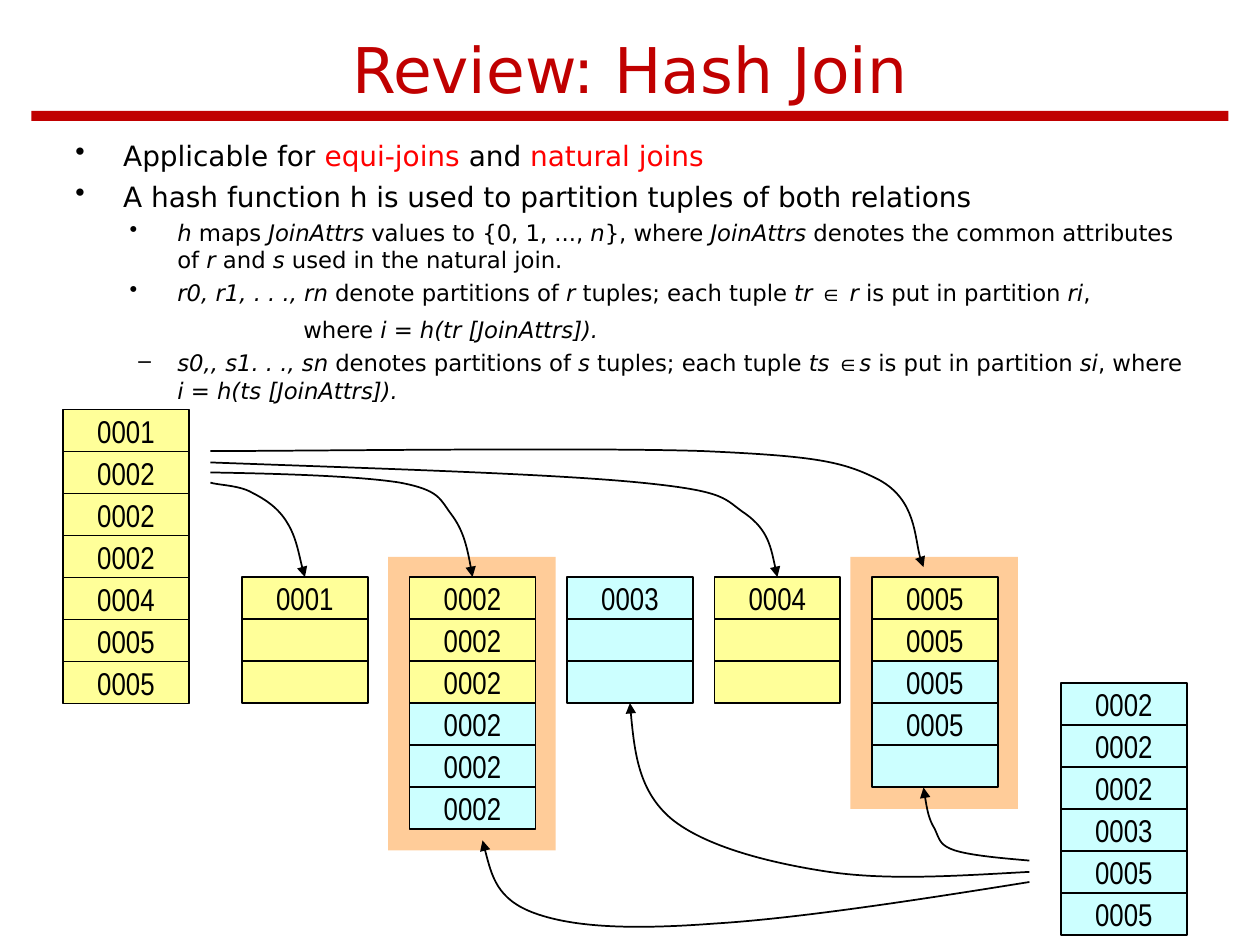
from lxml import etree
from pptx import Presentation
from pptx import util as u
from pptx.dml.color import RGBColor
from pptx.enum import shapes, text
from pptx.oxml.ns import qn

COLORS = {"title": "C00000", "key": "FF0000", "ink": "000000",
          "r": "FFFF99", "s": "CCFFFF", "match": "FFCC99"}
BODY_FONT, CELL_FONT = "DejaVu Sans", "Arial Narrow"
CELL_W, CELL_H = 1, 1 / 3

TITLE = "Review: Hash Join"

# Each paragraph: bullet, left margin, hanging indent, space before, size, runs.
# Run styles: "" plain, "i" italic, "k" key term, "a" symbol font
BULLETS = [
    ("•", 0.38, -0.38, 0, 16, [("Applicable for ", ""), ("equi-joins", "k"),
                               (" and ", ""), ("natural joins", "k")]),
    ("•", 0.38, -0.38, 4, 16,
     [("A hash function h is used to partition tuples of both relations", "")]),
    ("•", 0.81, -0.38, 3.3, 13,
     [("h", "i"), (" maps ", ""), ("JoinAttrs", "i"), (" values to {0, 1, ..., ", ""),
      ("n", "i"), ("}, where ", ""), ("JoinAttrs ", "i"),
      ("denotes the common attributes of ", ""), ("r", "i"), (" and ", ""),
      ("s ", "i"), ("used in the natural join.", "")]),
    ("•", 0.81, -0.38, 3.3, 13,
     [("r0, r1, . . ., rn", "i"), (" denote partitions of ", ""), ("r ", "i"),
      ("tuples; each tuple ", ""), ("tr ", "i"), ("∈", "ai"), (" r ", "i"),
      ("is put in partition ", ""), ("ri", "i"), (",", "")]),
    (None, 1.81, 0, 5.6, 13, [("where ", ""), ("i = h(tr [JoinAttrs]).", "i")]),
    ("–", 0.81, -0.31, 3.3, 13,
     [("s0,, s1. . ., sn", "i"), (" denotes partitions of ", ""), ("s", "i"),
      (" tuples; each tuple ", ""), ("ts ", "i"), ("∈", "a"), ("s", "i"),
      (" is put in partition ", ""), ("si", "i"), (", where ", ""),
      ("i = h(ts [JoinAttrs]).", "i")]),
]

# Highlighted partitions: left, top, width, height
MATCHES = [(6.75, 4.42, 1.33, 2), (3.08, 4.42, 1.33, 2.33)]

# Stacks of cells: left, top, [(relation, values)]
STACKS = [
    (0.5, 3.25, [("r", ["0001", "0002", "0002", "0002", "0004", "0005", "0005"])]),
    (8.42, 5.42, [("s", ["0002", "0002", "0002", "0003", "0005", "0005"])]),
    (1.92, 4.58, [("r", ["0001", "", ""])]),
    (3.25, 4.58, [("r", ["0002"] * 3), ("s", ["0002"] * 3)]),
    (4.5, 4.58, [("s", ["0003", "", ""])]),
    (5.67, 4.58, [("r", ["0004", "", ""])]),
    (6.92, 4.58, [("r", ["0005"] * 2), ("s", ["0005", "0005", ""])]),
]

# Curved arrows: start point, then three Bezier points per segment
ARROWS = [
    [(1.67, 3.58), (2.32, 3.58), (4.7, 3.55), (5.58, 3.58), (6.47, 3.62),
     (6.69, 3.66), (6.98, 3.81), (7.27, 3.97), (7.26, 4.36), (7.33, 4.5)],
    [(1.67, 3.67), (3.02, 3.72), (4.37, 3.76), (5.08, 3.83), (5.79, 3.9),
     (5.74, 3.96), (5.92, 4.08), (6.1, 4.21), (6.13, 4.4), (6.17, 4.58)],
    [(1.67, 3.75), (2.26, 3.76), (2.85, 3.78), (3.17, 3.83), (3.49, 3.89),
     (3.49, 3.96), (3.58, 4.08), (3.68, 4.21), (3.72, 4.4), (3.75, 4.58)],
    [(1.67, 3.83), (1.72, 3.85), (1.9, 3.85), (2, 3.91), (2.1, 3.96),
     (2.21, 4.03), (2.28, 4.15), (2.35, 4.26), (2.39, 4.49), (2.42, 4.58)],
    [(8.17, 6.83), (7.94, 6.81), (7.71, 6.79), (7.58, 6.75), (7.46, 6.71),
     (7.46, 6.67), (7.42, 6.58), (7.37, 6.5), (7.35, 6.38), (7.33, 6.25)],
    [(8.17, 6.92), (7.61, 6.95), (7.06, 6.99), (6.58, 6.92), (6.11, 6.85),
     (5.6, 6.72), (5.33, 6.5), (5.07, 6.28), (5.03, 5.93), (5, 5.58)],
    [(8.17, 7), (7.24, 7.15), (6.32, 7.29), (5.67, 7.33), (5.01, 7.38),
     (4.56, 7.36), (4.25, 7.25), (3.94, 7.14), (3.89, 6.9), (3.83, 6.67)],
]


def rgb(name):
    return RGBColor.from_string(COLORS[name])


def add_run(p, words, size, font, color="ink", italic=False):
    r = p.add_run()
    r.text = words
    r.font.size, r.font.name, r.font.italic = u.Pt(size), font, italic
    r.font.color.rgb = rgb(color)


def add_rect(s, box, fill, outlined=False):
    sp = s.shapes.add_shape(shapes.MSO_SHAPE.RECTANGLE, *map(u.Inches, box))
    sp.shadow.inherit = False
    sp.fill.solid()
    sp.fill.fore_color.rgb = rgb(fill)
    if outlined:
        sp.line.color.rgb, sp.line.width = rgb("ink"), u.Pt(1)
    else:
        sp.line.fill.background()
    return sp


def add_cell(s, left, top, relation, value):
    sp = add_rect(s, (left, top, CELL_W, CELL_H), relation, outlined=True)
    if value:
        tf = sp.text_frame
        tf.word_wrap = False
        tf.vertical_anchor = text.MSO_ANCHOR.MIDDLE
        p = tf.paragraphs[0]
        p.alignment = text.PP_ALIGN.CENTER
        add_run(p, value, 18, CELL_FONT)


def add_curved_arrow(s, points):
    start, *rest = [(u.Inches(x), u.Inches(y)) for x, y in points]
    fb = s.shapes.build_freeform(*start)
    fb.add_line_segments(rest, close=False)
    sp = fb.convert_to_shape()
    sp.shadow.inherit = False
    sp.fill.background()
    sp.line.color.rgb, sp.line.width = rgb("ink"), u.Pt(1)
    etree.SubElement(sp.line._get_or_add_ln(), qn("a:tailEnd"), type="triangle")
    # Turn every three straight segments into one Bezier segment
    segments = list(sp._element.iter(qn("a:lnTo")))
    for i in range(0, len(segments), 3):
        trio = segments[i:i + 3]
        curve = etree.Element(qn("a:cubicBezTo"))
        trio[0].addprevious(curve)
        for segment in trio:
            curve.append(segment[0])
            segment.getparent().remove(segment)


def add_bullet(p, bullet, margin, indent):
    pPr = p._p.get_or_add_pPr()
    pPr.set("marL", str(u.Inches(margin)))
    pPr.set("indent", str(u.Inches(indent)))
    if bullet:
        clr = etree.SubElement(pPr, qn("a:buClr"))
        etree.SubElement(clr, qn("a:srgbClr"), val=COLORS["ink"])
        etree.SubElement(pPr, qn("a:buChar"), char=bullet)
    else:
        etree.SubElement(pPr, qn("a:buNone"))


def main():
    prs = Presentation()
    prs.slide_width, prs.slide_height = u.Inches(10), u.Inches(7.5)
    s = prs.slides.add_slide(prs.slide_layouts[5])

    # Title and rule
    title = s.shapes.title
    title.left, title.top, title.width, title.height = map(u.Inches, (0.5, -0.08, 9, 1.25))
    title.text_frame.vertical_anchor = text.MSO_ANCHOR.MIDDLE
    p = title.text_frame.paragraphs[0]
    p.alignment = text.PP_ALIGN.CENTER
    add_run(p, TITLE, 36, BODY_FONT, "title")
    add_rect(s, (0.25, 0.88, 9.5, 0.08), "title")

    # Bulleted text
    tf = s.shapes.add_textbox(*map(u.Inches, (0.5, 1.05, 9, 4.95))).text_frame
    tf.word_wrap = True
    for i, (bullet, margin, indent, before, size, runs) in enumerate(BULLETS):
        p = tf.add_paragraph() if i else tf.paragraphs[0]
        add_bullet(p, bullet, margin, indent)
        p.space_before = u.Pt(before)
        for words, style in runs:
            add_run(p, words, size, "Arial" if "a" in style else BODY_FONT,
                    "key" if "k" in style else "ink", "i" in style)

    # Matching partitions, cells and arrows
    for box in MATCHES:
        add_rect(s, box, "match")
    for left, top, parts in STACKS:
        cells = [(relation, v) for relation, values in parts for v in values]
        for row, (relation, value) in enumerate(cells):
            add_cell(s, left, top + row * CELL_H, relation, value)
    for points in ARROWS:
        add_curved_arrow(s, points)

    prs.save("out.pptx")


if __name__ == "__main__":
    main()
